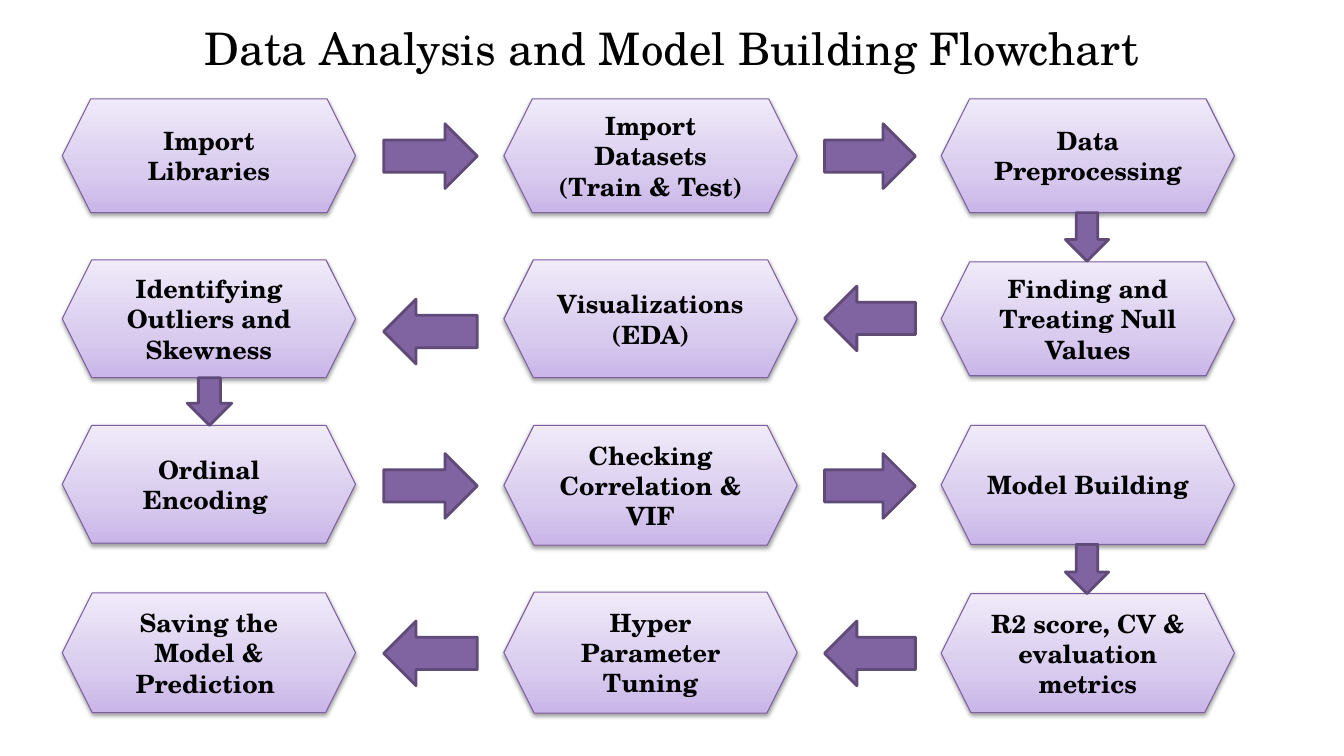
from copy import deepcopy
from dataclasses import dataclass

from lxml.etree import SubElement
from pptx import Presentation
from pptx.dml.color import RGBColor
from pptx.enum.shapes import MSO_SHAPE as Shape
from pptx.enum.text import MSO_ANCHOR as Anchor, MSO_AUTO_SIZE as AutoSize, PP_ALIGN as Align
from pptx.oxml.ns import qn
from pptx.util import Cm, Pt


@dataclass(frozen=True)
class Theme:
    font: str = "TeX Gyre Schola"
    title_size: int = 32
    step_size: int = 18
    text: str = "000000"
    step_stops: tuple = ((0, "C9B5E8"), (0.35, "D8CBEE"), (1, "F0EAF9"))
    step_line: str = "7D60A0"
    arrow_fill: str = "8064A2"
    arrow_line: str = "5F4A78"
    shadow: str = "000000"


COLUMN_LEFTS = (1.57, 12.7, 23.72)
STEP_WIDTH = 7.39
GAPS = ((9.67, 2.36), (20.78, 2.29))
ARROW_HEIGHT = 1.63

ROWS = (
    (Shape.RIGHT_ARROW, (3.12, 3.12), (
        ("Import Libraries", 2.49, 2.87),
        ("Import Datasets\n(Train & Test)", 2.49, 2.87),
        ("Data Preprocessing", 2.49, 2.87))),
    (Shape.LEFT_ARROW, (7.54, 7.21), (
        ("Identifying Outliers and Skewness", 6.55, 2.97),
        ("Visualizations\n(EDA)", 6.55, 2.97),
        ("Finding and Treating Null Values", 6.6, 2.87))),
    (Shape.RIGHT_ARROW, (11.43, 11.43), (
        ("Ordinal Encoding ", 10.72, 2.97),
        ("Checking Correlation & VIF", 10.72, 3.02),
        ("Model Building", 10.72, 3))),
    (Shape.LEFT_ARROW, (15.65, 15.65), (
        ("Saving the Model & Prediction ", 14.94, 3.02),
        ("Hyper Parameter Tuning", 14.92, 3.05),
        ("R2 score, CV & evaluation metrics", 14.96, 3))),
)
DOWN_ARROWS = ((26.85, 5.36, 1.09, 1.22), (4.72, 9.52, 1.12, 1.2), (26.85, 13.72, 1.09, 1.24))


def write_text(frame, text, *, font, size, color, bold=False, anchor=Anchor.TOP):
    """Fill a text frame with centred paragraphs, one for each line."""
    frame.word_wrap = True
    frame.vertical_anchor = anchor
    for index, line in enumerate(text.split("\n")):
        paragraph = frame.add_paragraph() if index else frame.paragraphs[0]
        paragraph.alignment = Align.CENTER
        run = paragraph.add_run()
        run.text = line
        run.font.name = font
        run.font.size = Pt(size)
        run.font.bold = bold
        run.font.color.rgb = RGBColor.from_string(color)


class Flowchart:
    """Draws flowchart elements on one slide in one style."""

    def __init__(self, slide, theme):
        self.slide = slide
        self.theme = theme

    def add_title(self, text, left, top, width, height):
        """Add the slide title."""
        box = self.slide.shapes.add_textbox(*map(Cm, (left, top, width, height)))
        write_text(box.text_frame, text, font=self.theme.font,
                   size=self.theme.title_size, color=self.theme.text)
        box.text_frame.auto_size = AutoSize.SHAPE_TO_FIT_TEXT

    def add_outlined(self, kind, box, line_color, line_width):
        """Add a preset shape with an outline and no inherited shadow."""
        shape = self.slide.shapes.add_shape(kind, *map(Cm, box))
        shape.line.color.rgb = RGBColor.from_string(line_color)
        shape.line.width = Pt(line_width)
        shape.shadow.inherit = False
        return shape

    def add_step(self, text, left, top, width, height):
        """Add a hexagon with a gradient, a soft shadow and a label."""
        shape = self.add_outlined(Shape.HEXAGON, (left, top, width, height),
                                  self.theme.step_line, 0.75)
        self.fill_gradient(shape)
        self.cast_shadow(shape)
        write_text(shape.text_frame, text, font=self.theme.font, size=self.theme.step_size,
                   color=self.theme.text, bold=True, anchor=Anchor.MIDDLE)

    def add_arrow(self, kind, left, top, width, height):
        """Add a block arrow."""
        shape = self.add_outlined(kind, (left, top, width, height), self.theme.arrow_line, 2)
        shape.fill.solid()
        shape.fill.fore_color.rgb = RGBColor.from_string(self.theme.arrow_fill)

    def fill_gradient(self, shape):
        """Fill a shape with the three-stop gradient, rising from the bottom."""
        shape.fill.gradient()
        shape.fill.gradient_angle = 90
        stop_list = next(shape._element.spPr.iter(qn("a:gsLst")))
        stop_list.append(deepcopy(stop_list[-1]))
        for stop, (position, color) in zip(shape.fill.gradient_stops, self.theme.step_stops):
            stop.position = position
            stop.color.rgb = RGBColor.from_string(color)

    def cast_shadow(self, shape):
        """Give a shape a soft shadow falling straight down."""
        effects = shape._element.spPr.find(qn("a:effectLst"))
        shadow = SubElement(effects, qn("a:outerShdw"), blurRad="40000", dist="20000",
                            dir="5400000", rotWithShape="0")
        color = SubElement(shadow, qn("a:srgbClr"), val=self.theme.shadow)
        SubElement(color, qn("a:alpha"), val="38000")


def main():
    """Build the flowchart slide and save it."""
    presentation = Presentation()
    presentation.slide_width = Cm(33.87)
    presentation.slide_height = Cm(19.05)
    slide = presentation.slides.add_slide(presentation.slide_layouts[6])
    chart = Flowchart(slide, Theme())

    chart.add_title("Data Analysis and Model Building Flowchart", 0, 0.41, 33.87, 1.63)
    for direction, arrow_tops, steps in ROWS:
        for left, (text, top, height) in zip(COLUMN_LEFTS, steps):
            chart.add_step(text, left, top, STEP_WIDTH, height)
        for (left, width), top in zip(GAPS, arrow_tops):
            chart.add_arrow(direction, left, top, width, ARROW_HEIGHT)
    for box in DOWN_ARROWS:
        chart.add_arrow(Shape.DOWN_ARROW, *box)

    presentation.save("out.pptx")


if __name__ == "__main__":
    main()
